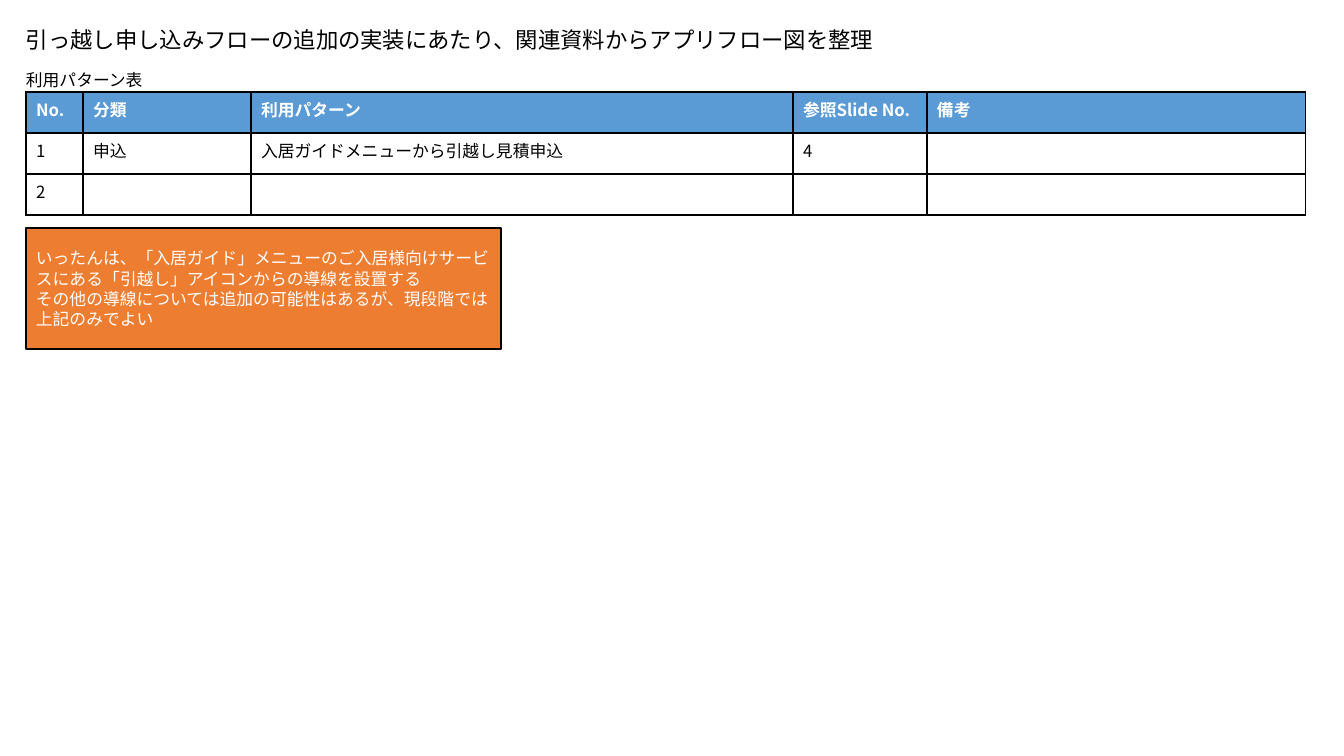
import pptx
import pptx.util
import pptx.dml.color
import pptx.enum.shapes
import pptx.enum.text
import pptx.oxml.ns
import lxml.etree

FONT = "Noto Sans CJK JP"
HUES = {"ink": "000000", "paper": "FFFFFF", "head": "5B9BD5", "note": "ED7D31"}
LABELS = [
    ("引っ越し申し込みフローの追加の実装にあたり、関連資料からアプリフロー図を整理", (16, 21, 902, 37), 16),
    ("利用パターン表", (16, 65, 139, 30), 12),
]
ROWS = [
    ("No.", "分類", "利用パターン", "参照Slide No.", "備考"),
    ("1", "申込", "入居ガイドメニューから引越し見積申込", "4", ""),
    ("2", "", "", "", ""),
]
LEFT, TOP, HIGH = 26, 92, 41
WIDE = (57, 168, 542, 134, 379)
NOTE = [
    "いったんは、「入居ガイド」メニューのご入居様向けサービスにある「引越し」アイコンからの導線を設置する",
    "その他の導線については追加の可能性はあるが、現段階では上記のみでよい",
]
NOTE_BOX = (26, 228, 475, 121)


def px(num):
    return round(num * 914400 / 100.8)


def rgb(hue):
    return pptx.dml.color.RGBColor.from_string(HUES[hue])


def add(parent, tag, **attrs):
    return lxml.etree.SubElement(parent, pptx.oxml.ns.qn(tag), attrs)


def paint(item, hue):
    item.fill.solid()
    item.fill.fore_color.rgb = rgb(hue)


def style(frame, size, hue, bold=False):
    for para in frame.paragraphs:
        for run in para.runs:
            run.font.size = pptx.util.Pt(size)
            run.font.name = FONT
            run.font.bold = bold
            run.font.color.rgb = rgb(hue)
            add(run.font._element, "a:ea", typeface=FONT)
        if not para.runs:
            add(para._p, "a:endParaRPr", sz=str(size * 100))


def edge(cell):
    props = cell._tc.get_or_add_tcPr()
    for side in "LRTB":
        line = add(props, "a:ln" + side, w=str(pptx.util.Pt(1)))
        add(add(line, "a:solidFill"), "a:srgbClr", val=HUES["ink"])


deck = pptx.Presentation()
deck.slide_width, deck.slide_height = px(1344), px(756)
slide = deck.slides.add_slide(deck.slide_layouts[6])
shapes = slide.shapes

for text, box, size in LABELS:
    frame = shapes.add_textbox(*map(px, box)).text_frame
    frame.text = text
    frame.word_wrap = False
    frame.auto_size = pptx.enum.text.MSO_AUTO_SIZE.SHAPE_TO_FIT_TEXT
    style(frame, size, "ink")

area = (LEFT, TOP, sum(WIDE), HIGH * len(ROWS))
table = shapes.add_table(len(ROWS), len(WIDE), *map(px, area)).table
for col, wide in zip(table.columns, WIDE):
    col.width = px(wide)
for r, row in enumerate(ROWS):
    table.rows[r].height = px(HIGH)
    head = r == 0
    for c, text in enumerate(row):
        cell = table.cell(r, c)
        cell.text_frame.text = text
        style(cell.text_frame, 12, "paper" if head else "ink", head)
        edge(cell)
        paint(cell, "head" if head else "paper")

note = shapes.add_shape(pptx.enum.shapes.MSO_SHAPE.RECTANGLE, *map(px, NOTE_BOX))
note.shadow.inherit = False
paint(note, "note")
note.line.color.rgb = rgb("ink")
note.line.width = pptx.util.Pt(1)
frame = note.text_frame
frame.text = "\n".join(NOTE)
frame.word_wrap = True
frame.vertical_anchor = pptx.enum.text.MSO_ANCHOR.MIDDLE
for para in frame.paragraphs:
    para.alignment = pptx.enum.text.PP_ALIGN.LEFT
style(frame, 12, "paper")

deck.save("out.pptx")
